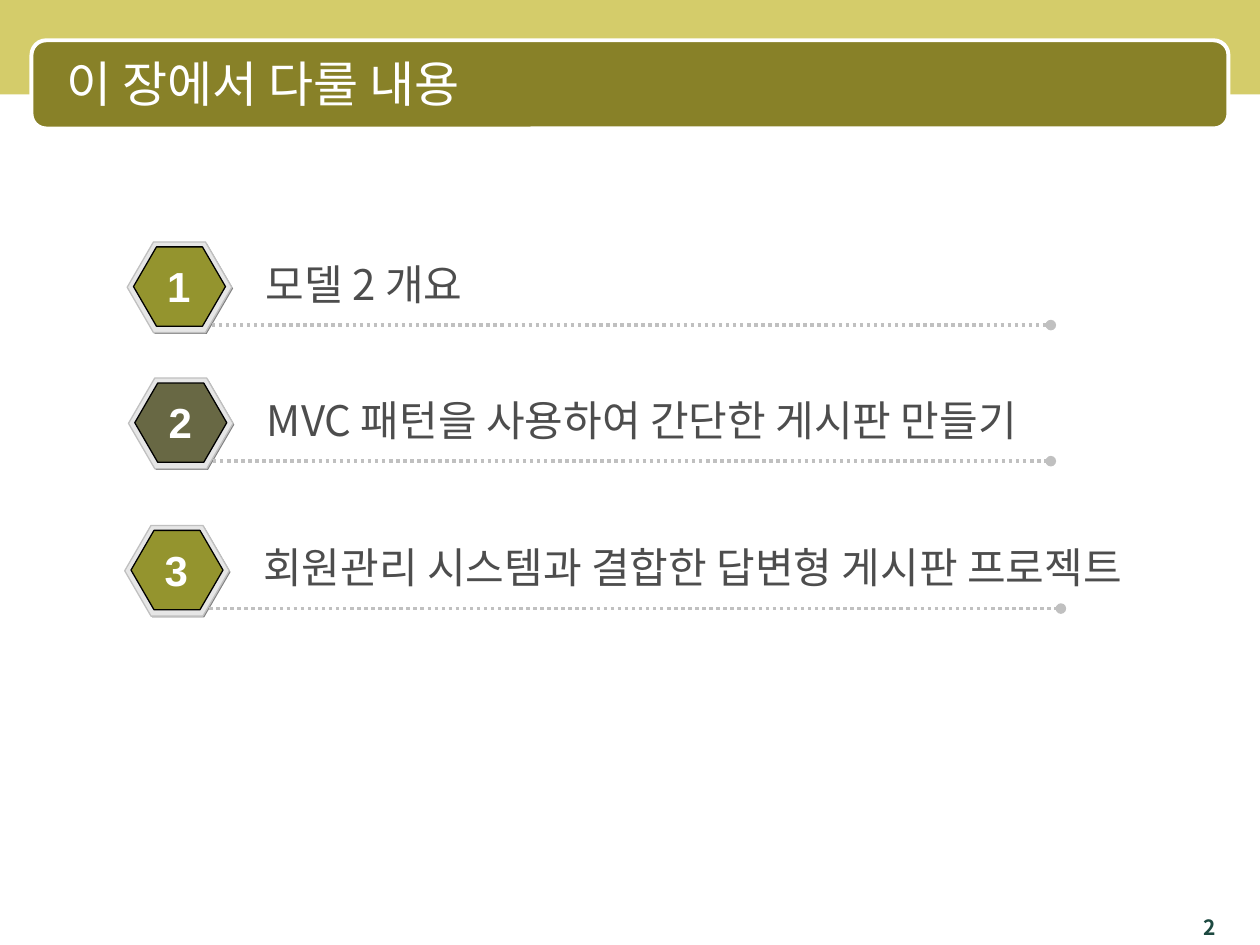
from lxml.etree import SubElement
from pptx import Presentation
from pptx.dml.color import RGBColor
from pptx.enum.dml import MSO_LINE
from pptx.enum.shapes import MSO_CONNECTOR, MSO_SHAPE
from pptx.enum.text import MSO_ANCHOR, MSO_AUTO_SIZE, PP_ALIGN
from pptx.oxml.ns import qn
from pptx.util import Inches, Pt

WIDE, HIGH = Inches(10), Inches(7.5)
COL, ROW = WIDE // 100, HIGH // 75
KOREAN, LATIN = "Noto Sans CJK KR", "Arial"
WHITE = RGBColor(0xFF, 0xFF, 0xFF)
BLACK = RGBColor(0, 0, 0)
SAND = RGBColor(0xD4, 0xCC, 0x6A)
MOSS = RGBColor(0x88, 0x81, 0x28)
PINE = RGBColor(0x1D, 0x49, 0x40)
OLIVE = RGBColor(0x80, 0x80, 0x00)
DARK = RGBColor(0x33, 0x33, 0x00)
SHADE = RGBColor(0x80, 0x80, 0x80)
RIM = RGBColor(0xE6, 0xE6, 0xE6)
SILVER = RGBColor(0xC0, 0xC0, 0xC0)
INK = RGBColor(0x4D, 0x4D, 0x4D)
ITEMS = [
    ("모델 2 개요", (10.1, 19.2, 73.3, 7.2), 62.5, OLIVE, 80),
    ("MVC 패턴을 사용하여 간단한 게시판 만들기", (10.2, 30, 73.2, 7.2), 69.1, DARK, 70),
    ("회원관리 시스템과 결합한 답변형 게시판 프로젝트", (9.9, 41.7, 74.3, 7.2), 79.2, OLIVE, 80),
]


def grid(left, top, width, height):
    """Turn columns and rows into slide lengths."""
    return round(left * COL), round(top * ROW), round(width * COL), round(height * ROW)


def write(frame, text, size=24, font=KOREAN, color=INK, bold=False,
          align=PP_ALIGN.LEFT, wrap=True, anchor=MSO_ANCHOR.TOP):
    """Fill a text frame with one formatted paragraph."""
    frame.word_wrap = wrap
    frame.auto_size = MSO_AUTO_SIZE.NONE
    frame.vertical_anchor = anchor
    para = frame.paragraphs[0]
    para.alignment = align
    run = para.add_run()
    run.text = text
    face = run.font
    face.size, face.name, face.bold = Pt(size), font, bold
    face.color.rgb = color
    SubElement(face._element, qn("a:ea"), typeface=font)
    return para


def label(shapes, box, text, **look):
    """Add a text box on the grid."""
    write(shapes.add_textbox(*grid(*box)).text_frame, text, **look)


def block(shapes, kind, box, fill, line=None, weight=0.75, alpha=100):
    """Add a filled preset shape on the grid."""
    shape = shapes.add_shape(kind, *grid(*box))
    shape.shadow.inherit = False
    shape.fill.solid()
    shape.fill.fore_color.rgb = fill
    if alpha < 100:
        tint = shape.fill._xPr.find(".//" + qn("a:srgbClr"))
        SubElement(tint, qn("a:alpha"), val=str(alpha * 1000))
    if line is None:
        shape.line.fill.background()
    else:
        shape.line.color.rgb = line
        shape.line.width = Pt(weight)
    return shape


def rule(shapes, left, right, top):
    """Add a dotted rule that ends in a dot."""
    start, level, span, _ = grid(left, top, right - left, 0)
    wire = shapes.add_connector(MSO_CONNECTOR.STRAIGHT, start, level, start + span, level)
    wire.line.color.rgb = SILVER
    wire.line.width = Pt(2)
    wire.line.dash_style = MSO_LINE.ROUND_DOT
    SubElement(wire.line._get_or_add_ln(), qn("a:tailEnd"), type="oval")
    SubElement(wire._element.spPr, qn("a:effectLst"))


def badge(shapes, box, fill, alpha):
    """Stack the three hexagons of a number badge."""
    left, top, width, high = box
    layers = [
        ((left + 0.1, top + 0.1, width, high), SHADE, None, 100),
        (box, RIM, SILVER, 100),
        ((left + 0.5, top + 0.4, width - 1, high - 0.9), fill, BLACK, alpha),
    ]
    for place, paint, edge, clear in layers:
        shape = block(shapes, MSO_SHAPE.HEXAGON, place, paint, edge, alpha=clear)
        shape.adjustments[0] = 0.29


def entry(slide, box, index, text, span, fill, alpha):
    """Build one numbered line of the contents."""
    left, top, width, high = box
    shapes = slide.shapes.add_group_shape().shapes
    badge(shapes, (left, top, 8.3, high), fill, alpha)
    rule(shapes, left + 6.7, left + width, top + 6.6)
    label(shapes, (left + 10, top + 0.8, span, 5), text)
    label(shapes, (left + 2.2, top + 1, 3.8, 5), str(index), font=LATIN,
          color=WHITE, bold=True, align=PP_ALIGN.CENTER, wrap=False)


def header(slide, box):
    """Build the band, the title bar and the title."""
    left, top, width, high = box
    block(slide.shapes, MSO_SHAPE.RECTANGLE, (left, top, width, high * 0.735), SAND)
    block(slide.shapes, MSO_SHAPE.ROUNDED_RECTANGLE,
          (left + 2.5, top + 3.2, width - 5, 7), MOSS, WHITE, 2.25)
    title = slide.shapes.title
    title.left, title.top, title.width, title.height = grid(
        left + 3.3, top + 3.5, width - 6.7, 6.2)
    para = write(title.text_frame, "이 장에서 다룰 내용", size=28, color=WHITE,
                 anchor=MSO_ANCHOR.MIDDLE)
    props = para._p.get_or_add_pPr()
    props.set("marL", str(Inches(0.49)))
    props.set("indent", str(-Inches(0.39)))
    title.element.getparent().append(title.element)


def footer(slide, box):
    """Place the page number."""
    label(slide.shapes, box, "2", size=12, color=PINE, bold=True, align=PP_ALIGN.RIGHT)


def main():
    """Build and save the slide."""
    deck = Presentation()
    deck.slide_width, deck.slide_height = WIDE, HIGH
    slide = deck.slides.add_slide(deck.slide_layouts[5])
    header(slide, (0, 0, 100, 10.2))
    for index, (text, box, span, fill, alpha) in enumerate(ITEMS, 1):
        entry(slide, box, index, text, span, fill, alpha)
    footer(slide, (88.3, 72.1, 9.2, 2.9))
    deck.save("out.pptx")


if __name__ == "__main__":
    main()
